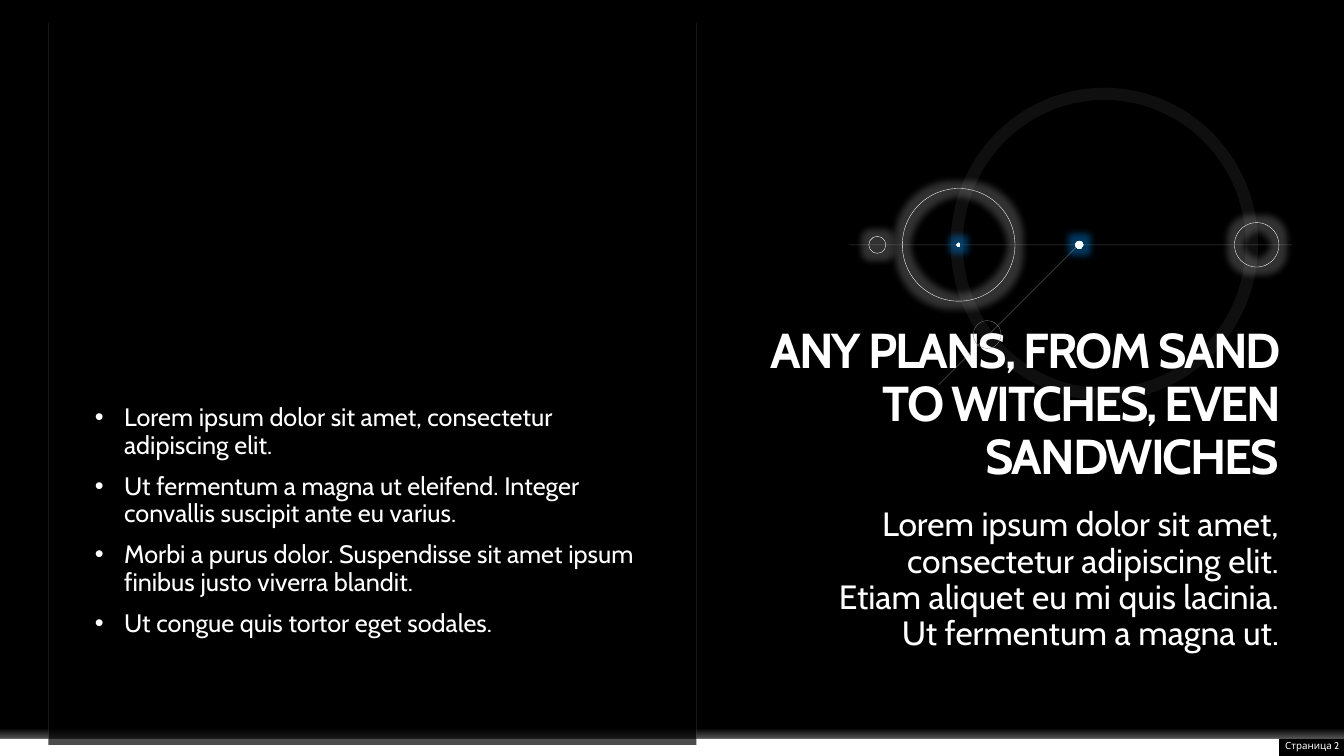
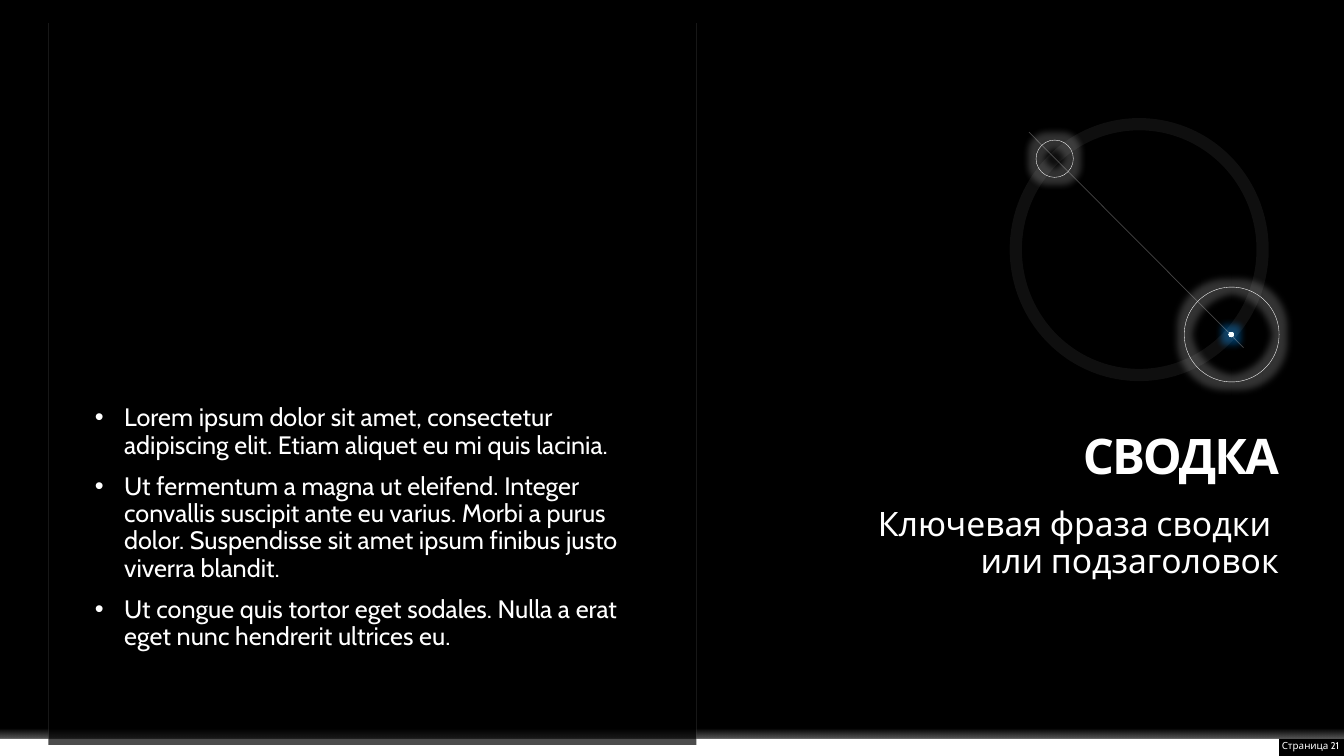
"""Build two dark slides with a bulleted panel, a title and a circle motif."""
from lxml import etree
from pptx import Presentation
from pptx.dml.color import RGBColor
from pptx.enum import dml, shapes, text
from pptx.oxml import ns
from pptx.util import Cm, Pt

COLORS = {
    "black": "000000", "white": "FFFFFF", "rule": "F2F2F2",
    "axis": "E7E6E6", "dash": "808080", "dot_mid": "F7FFFF",
    "dot_edge": "C1E4FF", "blue_glow": "0070C0",
}
FONT = "Cabin"
WIDTH, HEIGHT = 33.87, 19.05
RIGHT = 32.23
PANEL_LEFT, PANEL_WIDTH = 1.22, 16.33
GLOW_RADIUS = Pt(10)

SLIDES = [
    {
        "page": "Страница 2",
        "title": "ANY PLANS, FROM SAND TO WITCHES, EVEN SANDWICHES",
        "subtitle": "Lorem ipsum dolor sit amet, consectetur adipiscing elit. "
                    "Etiam aliquet eu mi quis lacinia. Ut fermentum a magna ut.",
        "subtitle_width": 11.46,
        "bullets": [
            "Lorem ipsum dolor sit amet, consectetur adipiscing elit.",
            "Ut fermentum a magna ut eleifend. Integer convallis suscipit ante eu varius.",
            "Morbi a purus dolor. Suspendisse sit amet ipsum finibus justo viverra blandit.",
            "Ut congue quis tortor eget sodales.",
        ],
        "motif": [
            ("halo", 24.16, 6.17, 2.84), ("halo", 31.67, 6.17, 1.12),
            ("dot", 27.2, 6.17, 0.2), ("ring", 27.83, 6.15, 7.44, 7.57),
            ("axis", 21.39, 6.17, 32.56, 6.17), ("dot", 24.16, 6.17, 0.1),
            ("dash", 24.88, 8.43, 0.7), ("halo", 22.11, 6.17, 0.43),
            ("axis", 23.65, 9.7, 27.18, 6.17),
        ],
    },
    {
        "page": "Страница 21",
        "title": "СВОДКА",
        "subtitle": "Ключевая фраза сводки \vили подзаголовок",
        "subtitle_width": 14.12,
        "bullets": [
            "Lorem ipsum dolor sit amet, consectetur adipiscing elit. "
            "Etiam aliquet eu mi quis lacinia.",
            "Ut fermentum a magna ut eleifend. Integer convallis suscipit ante eu varius. "
            "Morbi a purus dolor. Suspendisse sit amet ipsum finibus justo viverra blandit.",
            "Ut congue quis tortor eget sodales. Nulla a erat eget nunc hendrerit ultrices eu.",
        ],
        "motif": [
            ("halo", 31.04, 8.43, 2.39), ("halo", 26.58, 4, 0.94),
            ("dot", 31.03, 8.43, 0.13), ("ring", 28.71, 6.29, 6.22, 6.32),
            ("axis", 25.93, 3.33, 31.34, 8.76),
        ],
    },
]

LINE_STYLES = {
    "halo": ("white", 0.25, 100), "ring": ("white", 8.75, 6),
    "dash": ("dash", 0.25, 100), "axis": ("axis", 0.5, 30),
    "rule": ("rule", 0.25, 15),
}


def rgb(name):
    return RGBColor.from_string(COLORS[name])


def add_xml(parent, tag, **attributes):
    element = etree.SubElement(parent, ns.qn(tag))
    for key, value in attributes.items():
        element.set(key, str(value))
    return element


def add_color(parent, name, opacity=100):
    color = add_xml(parent, "a:srgbClr", val=COLORS[name])
    if opacity < 100:
        add_xml(color, "a:alpha", val=opacity * 1000)


def set_opacity(properties, opacity):
    if opacity < 100:
        color = next(properties.iter(ns.qn("a:srgbClr")))
        add_xml(color, "a:alpha", val=opacity * 1000)


def style_line(shape, style):
    color, width, opacity = LINE_STYLES[style]
    shape.line.color.rgb = rgb(color)
    shape.line.width = Pt(width)
    set_opacity(shape.line._ln, opacity)


def add_solid(container, kind, left, top, width, height, color=None, opacity=100):
    shape = container.add_shape(kind, Cm(left), Cm(top), Cm(width), Cm(height))
    shape.shadow.inherit = False
    shape.line.fill.background()
    if color:
        shape.fill.solid()
        shape.fill.fore_color.rgb = rgb(color)
        set_opacity(shape._element.spPr, opacity)
    else:
        shape.fill.background()
    return shape


def set_gradient(shape, stops, radial=False):
    properties = shape._element.spPr
    gradient = etree.Element(ns.qn("a:gradFill"))
    stop_list = add_xml(gradient, "a:gsLst")
    for position, color, opacity in stops:
        add_color(add_xml(stop_list, "a:gs", pos=position * 1000), color, opacity)
    if radial:
        circle = add_xml(gradient, "a:path", path="circle")
        add_xml(circle, "a:fillToRect", l=50000, t=50000, r=50000, b=50000)
    else:
        add_xml(gradient, "a:lin", ang=5400000, scaled=0)
    properties.replace(properties.find(ns.qn("a:noFill")), gradient)


def add_glow(shape, color, opacity):
    effects = shape._element.spPr.find(ns.qn("a:effectLst"))
    add_color(add_xml(effects, "a:glow", rad=GLOW_RADIUS), color, opacity)


def add_rule(container, style, x1, y1, x2, y2):
    line = container.add_connector(
        shapes.MSO_CONNECTOR.STRAIGHT, Cm(x1), Cm(y1), Cm(x2), Cm(y2))
    style_line(line, style)
    add_xml(line._element.spPr, "a:effectLst")


def add_circle(container, style, x, y, width, height=None):
    height = height or width
    circle = add_solid(container, shapes.MSO_SHAPE.OVAL,
                       x - width / 2, y - height / 2, width, height)
    if style == "dot":
        set_gradient(circle, [(0, "white", 100), (65, "dot_mid", 100),
                              (70, "dot_edge", 100)], radial=True)
        add_glow(circle, "blue_glow", 50)
        return
    style_line(circle, style)
    if style == "halo":
        add_glow(circle, "white", 20)
    if style == "dash":
        circle.line.dash_style = dml.MSO_LINE.SQUARE_DOT


def add_text(slide, paragraphs, left, top, width, height, size, bold=False, bullets=False,
             anchor=text.MSO_ANCHOR.TOP, line_spacing=0.9, tracking=0):
    frame = slide.shapes.add_textbox(Cm(left), Cm(top), Cm(width), Cm(height)).text_frame
    frame.word_wrap = True
    frame.vertical_anchor = anchor
    frame.margin_left = frame.margin_top = frame.margin_right = frame.margin_bottom = 0
    for index, content in enumerate(paragraphs):
        paragraph = frame.add_paragraph() if index else frame.paragraphs[0]
        paragraph.text = content
        if bullets:
            properties = paragraph._p.get_or_add_pPr()
            properties.set("marL", str(Cm(0.74)))
            properties.set("indent", str(-Cm(0.74)))
            add_xml(properties, "a:buFont", typeface="Arial")
            add_xml(properties, "a:buChar", char="•")
        else:
            paragraph.alignment = text.PP_ALIGN.RIGHT
        paragraph.line_spacing = line_spacing
        if index:
            paragraph.space_before = Pt(10)
        font = paragraph.font
        font.name, font.size, font.bold = FONT, Pt(size), bold
        font.color.rgb = rgb("white")
        if tracking:
            for run in paragraph.runs:
                run._r.get_or_add_rPr().set("spc", str(tracking))


def add_frame(slide, page):
    rectangle = shapes.MSO_SHAPE.RECTANGLE
    add_solid(slide.shapes, rectangle, 0, 18.62, RIGHT, 0.43, "white")
    fade = add_solid(slide.shapes, rectangle, 0, 18.19, WIDTH, 0.43)
    set_gradient(fade, [(40, "white", 0), (100, "white", 35)])
    add_solid(slide.shapes, rectangle, PANEL_LEFT, 10.82, PANEL_WIDTH, 7.95, "black", 70)
    for x in (PANEL_LEFT + PANEL_WIDTH, PANEL_LEFT):
        add_rule(slide.shapes, "rule", x, 0.58, x, 18.62)
    add_text(slide, [page], RIGHT, 18.57, 1.52, 0.43, 7,
             anchor=text.MSO_ANCHOR.MIDDLE, line_spacing=1.0)


def add_motif(slide, parts):
    group = slide.shapes.add_group_shape()
    for style, *geometry in parts:
        draw = add_rule if style == "axis" else add_circle
        draw(group.shapes, style, *geometry)


def build_slide(presentation, content):
    slide = presentation.slides.add_slide(presentation.slide_layouts[6])
    add_frame(slide, content["page"])
    add_text(slide, content["bullets"], 2.39, 10.21, 13.94, 7.57, 18, bullets=True)
    add_text(slide, [content["title"]], 18.11, 10.21, 14.12, 2.01, 35, bold=True,
             anchor=text.MSO_ANCHOR.BOTTOM, tracking=-150)
    width = content["subtitle_width"]
    add_text(slide, [content["subtitle"]], RIGHT - width, 12.8, width, 5, 24)
    add_motif(slide, content["motif"])


def main():
    presentation = Presentation()
    presentation.slide_width, presentation.slide_height = Cm(WIDTH), Cm(HEIGHT)
    background = presentation.slide_master.background.fill
    background.solid()
    background.fore_color.rgb = rgb("black")
    for content in SLIDES:
        build_slide(presentation, content)
    presentation.save("out.pptx")


if __name__ == "__main__":
    main()
